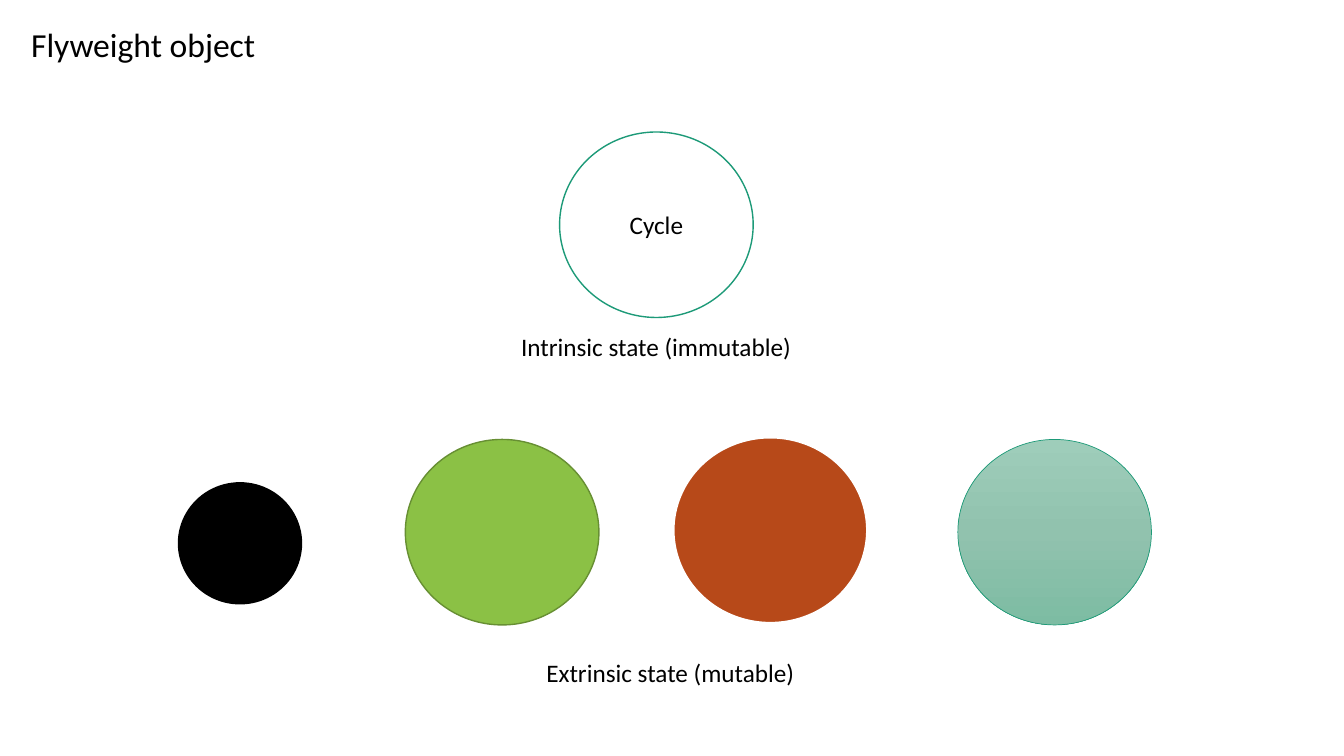
from copy import deepcopy

from pptx import Presentation
from pptx.dml.color import RGBColor
from pptx.enum import shapes, text
from pptx.oxml.ns import qn
from pptx.util import Inches, Pt

COLORS = {
    "black": "000000",
    "white": "FFFFFF",
    "teal": "1D9A78",
    "green": "8BC145",
    "dark_green": "678F33",
    "rust": "B74919",
}
TEAL_GRADIENT = ["9ECDBA", "91C2AE", "7DBCA3"]
FONT = "Calibri"
LARGE = (1.92, 1.84)
SMALL = (1.22, 1.2)


def rgb(name):
    return RGBColor.from_string(COLORS[name])


def write(text_frame, content, size):
    text_frame.text = content
    font = text_frame.paragraphs[0].runs[0].font
    font.name = FONT
    font.size = Pt(size)
    font.color.rgb = rgb("black")


def add_label(slide, left, top, width, height, content, size, wrap=False):
    label = slide.shapes.add_textbox(
        Inches(left), Inches(top), Inches(width), Inches(height))
    text_frame = label.text_frame
    text_frame.word_wrap = wrap
    text_frame.auto_size = text.MSO_AUTO_SIZE.SHAPE_TO_FIT_TEXT
    write(text_frame, content, size)


def add_circle(slide, left, top, size, fill, line, line_width=1):
    width, height = size
    circle = slide.shapes.add_shape(
        shapes.MSO_SHAPE.OVAL,
        Inches(left), Inches(top), Inches(width), Inches(height))
    circle.shadow.inherit = False
    circle.fill.solid()
    circle.fill.fore_color.rgb = rgb(fill)
    circle.line.color.rgb = rgb(line)
    circle.line.width = Pt(line_width)
    return circle


def fill_gradient(shape, stop_colors):
    shape.fill.gradient()
    shape.fill.gradient_angle = 270
    stop_list = shape.element.spPr.find(".//" + qn("a:gsLst"))
    stop_list.insert(1, deepcopy(stop_list[0]))
    for index, (stop, color) in enumerate(zip(shape.fill.gradient_stops, stop_colors)):
        stop.position = index / (len(stop_colors) - 1)
        stop.color.rgb = RGBColor.from_string(color)


def main():
    presentation = Presentation()
    presentation.slide_width = Inches(13.33)
    presentation.slide_height = Inches(7.5)
    slide = presentation.slides.add_slide(presentation.slide_layouts[6])

    cycle = add_circle(slide, 5.55, 1.31, LARGE, "white", "teal")
    cycle.text_frame.vertical_anchor = text.MSO_ANCHOR.MIDDLE
    write(cycle.text_frame, "Cycle", 18)
    cycle.text_frame.paragraphs[0].alignment = text.PP_ALIGN.CENTER

    add_label(slide, 0.21, 0.19, 2.45, 0.5, "Flyweight object", 24)

    add_circle(slide, 1.77, 4.79, SMALL, "black", "black")
    add_circle(slide, 4.02, 4.36, LARGE, "green", "dark_green")
    add_circle(slide, 6.68, 4.34, LARGE, "rust", "white", 1.5)
    gradient_circle = add_circle(slide, 9.5, 4.36, LARGE, "teal", "teal", 0.5)
    fill_gradient(gradient_circle, TEAL_GRADIENT)

    add_label(slide, 5.07, 3.24, 6.67, 0.4, "Intrinsic state (immutable)", 18, wrap=True)
    add_label(slide, 5.32, 6.47, 2.69, 0.4, "Extrinsic state (mutable)", 18)

    presentation.save("out.pptx")


if __name__ == "__main__":
    main()
